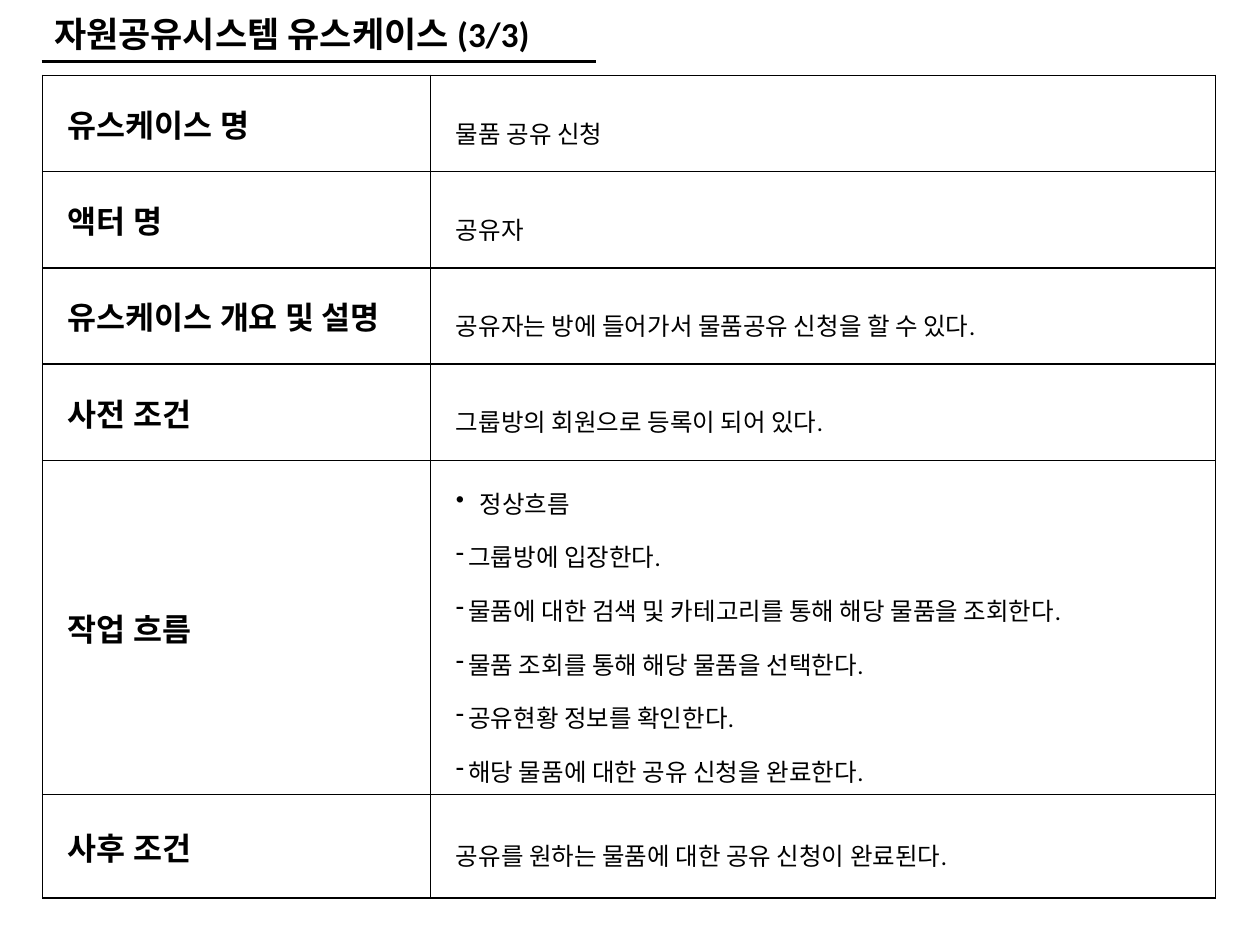
from pptx import Presentation
from pptx import util as u
from pptx.dml import color
from pptx.enum import shapes, text
from pptx.oxml import ns, xmlchemy as xml

BLACK = color.RGBColor(0, 0, 0)
WHITE = color.RGBColor(255, 255, 255)
FACE = "Calibri"
TITLE = dict(size=u.Pt(20), bold=True, name=FACE)
HEAD = dict(size=u.Pt(18), bold=True, name=FACE)
BODY = dict(size=u.Pt(14), bold=False, name=FACE)
LEFT_PAD = dict(margin_left=u.Cm(0.51), margin_right=u.Cm(0.25),
                vertical_anchor=text.MSO_ANCHOR.MIDDLE)
HEAD_PAD = dict(LEFT_PAD, margin_top=u.Cm(0.51), margin_bottom=u.Cm(0.51))
BODY_PAD = dict(LEFT_PAD, margin_top=u.Cm(0.13), margin_bottom=u.Cm(0.13))
COLS = (7.82, 15.82)
INDENT = {"•": 0.48, "-": 0.25}

# Row height in cm, heading, then (bullet, line) pairs
ROWS = [
    (1.92, "유스케이스 명", [("", "물품 공유 신청")]),
    (1.92, "액터 명", [("", "공유자")]),
    (1.92, "유스케이스 개요 및 설명",
     [("", "공유자는 방에 들어가서 물품공유 신청을 할 수 있다.")]),
    (1.92, "사전 조건", [("", "그룹방의 회원으로 등록이 되어 있다.")]),
    (6.73, "작업 흐름", [
        ("•", "정상흐름"),
        ("-", "그룹방에 입장한다."),
        ("-", "물품에 대한 검색 및 카테고리를 통해 해당 물품을 조회한다."),
        ("-", "물품 조회를 통해 해당 물품을 선택한다."),
        ("-", "공유현황 정보를 확인한다."),
        ("-", "해당 물품에 대한 공유 신청을 완료한다.")]),
    (2.08, "사후 조건", [("", "공유를 원하는 물품에 대한 공유 신청이 완료된다.")]),
]


def style(item, form):
    """Set each attribute named in form."""
    for key, val in form.items():
        setattr(item, key, val)


def add_run(para, words, form):
    """Add black text to a paragraph."""
    run = para.add_run()
    run.text = words
    style(run.font, form)
    run.font.color.rgb = BLACK


def add_mark(para, mark):
    """Give a paragraph a hanging bullet."""
    props = para._p.get_or_add_pPr()
    gap = u.Cm(INDENT[mark])
    props.set("marL", str(gap))
    props.set("indent", str(-gap))
    node = xml.OxmlElement("a:buChar")
    node.set("char", mark)
    props.append(node)


def add_edges(cell):
    """Draw a thin black line on all four sides of a cell."""
    props = cell._tc.get_or_add_tcPr()
    for pos, side in enumerate("LRTB"):
        edge = xml.OxmlElement(f"a:ln{side}")
        edge.set("w", str(u.Pt(1)))
        fill = xml.OxmlElement("a:solidFill")
        tint = xml.OxmlElement("a:srgbClr")
        tint.set("val", str(BLACK))
        fill.append(tint)
        edge.append(fill)
        props.insert(pos, edge)


def fill_cell(cell, lines, form, pad, space=None):
    """Write the lines of one cell and set its look."""
    style(cell, pad)
    cell.fill.solid()
    cell.fill.fore_color.rgb = WHITE
    add_edges(cell)
    frame = cell.text_frame
    for num, (mark, words) in enumerate(lines):
        para = frame.add_paragraph() if num else frame.paragraphs[0]
        para.line_spacing = space
        if mark:
            add_mark(para, mark)
        add_run(para, words, form)


def add_grid(slide):
    """Add the use case table."""
    high = sum(row[0] for row in ROWS)
    grid = slide.shapes.add_table(len(ROWS), len(COLS), u.Cm(0.86), u.Cm(1.52),
                                  u.Cm(sum(COLS)), u.Cm(high)).table
    style(grid, dict(first_row=False, horz_banding=False))
    for col, wide in zip(grid.columns, COLS):
        col.width = u.Cm(wide)
    for num, (tall, head, lines) in enumerate(ROWS):
        grid.rows[num].height = u.Cm(tall)
        fill_cell(grid.cell(num, 0), [("", head)], HEAD, HEAD_PAD)
        fill_cell(grid.cell(num, 1), lines, BODY, BODY_PAD, 1.5)


def add_rule(slide):
    """Add the line under the title."""
    rule = slide.shapes.add_connector(shapes.MSO_CONNECTOR.STRAIGHT, u.Cm(0.84),
                                      u.Cm(1.24), u.Cm(12.01), u.Cm(1.24))
    rule.line.color.rgb = BLACK
    rule.line.width = u.Pt(1.5)
    props = rule._element.find(ns.qn("p:spPr"))
    props.append(xml.OxmlElement("a:effectLst"))


def add_title(slide, words):
    """Add the slide title."""
    box = slide.shapes.add_textbox(u.Cm(0.84), u.Cm(0.13), u.Cm(10.85), u.Cm(1.12))
    frame = box.text_frame
    style(frame, dict(word_wrap=False,
                      auto_size=text.MSO_AUTO_SIZE.SHAPE_TO_FIT_TEXT))
    add_run(frame.paragraphs[0], words, TITLE)


def main():
    """Build and save the slide."""
    deck = Presentation()
    style(deck, dict(slide_width=u.Cm(25.4), slide_height=u.Cm(19.05)))
    slide = deck.slides.add_slide(deck.slide_layouts[6])
    add_grid(slide)
    add_rule(slide)
    add_title(slide, "자원공유시스템 유스케이스 (3/3)")
    deck.save("out.pptx")


main()
